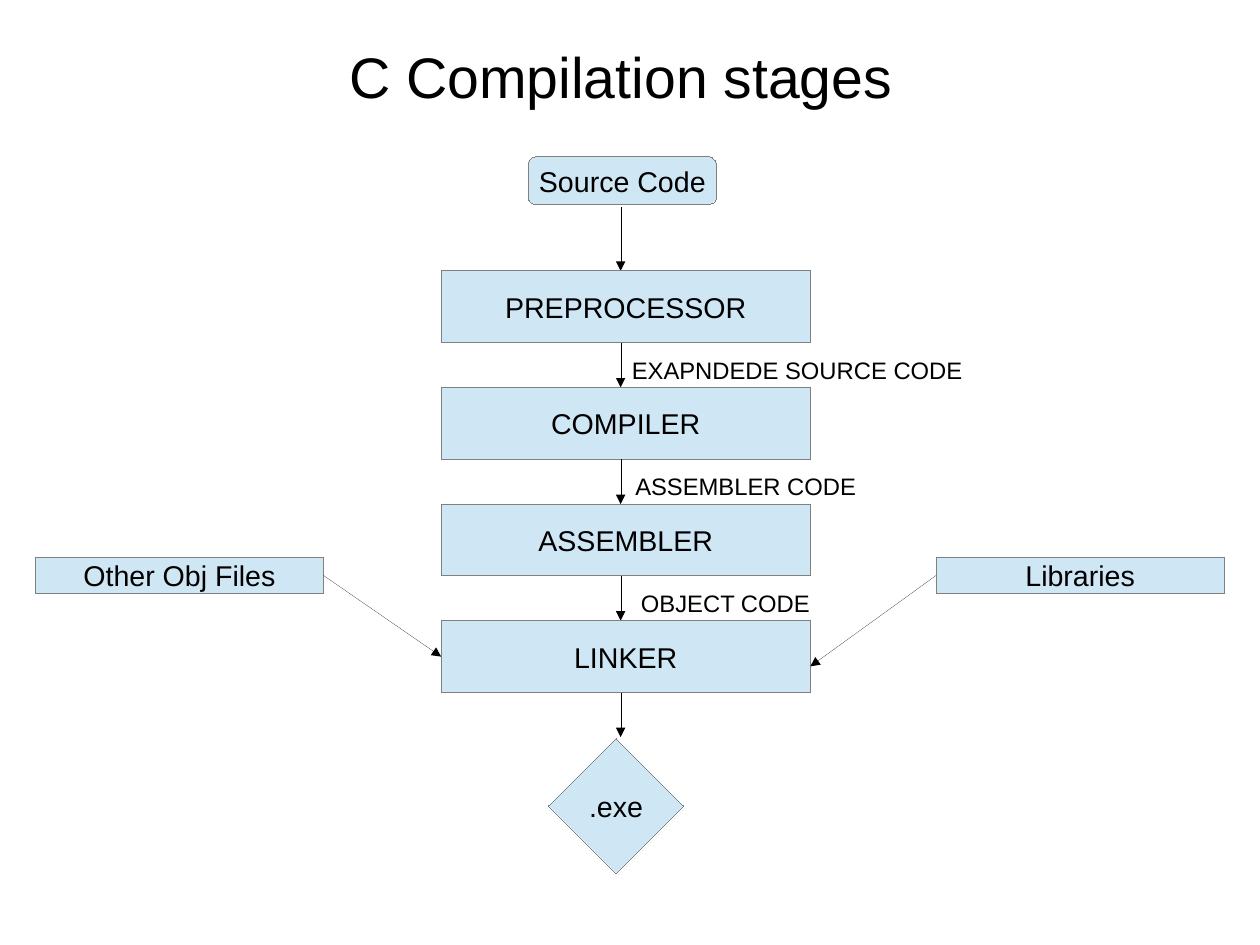
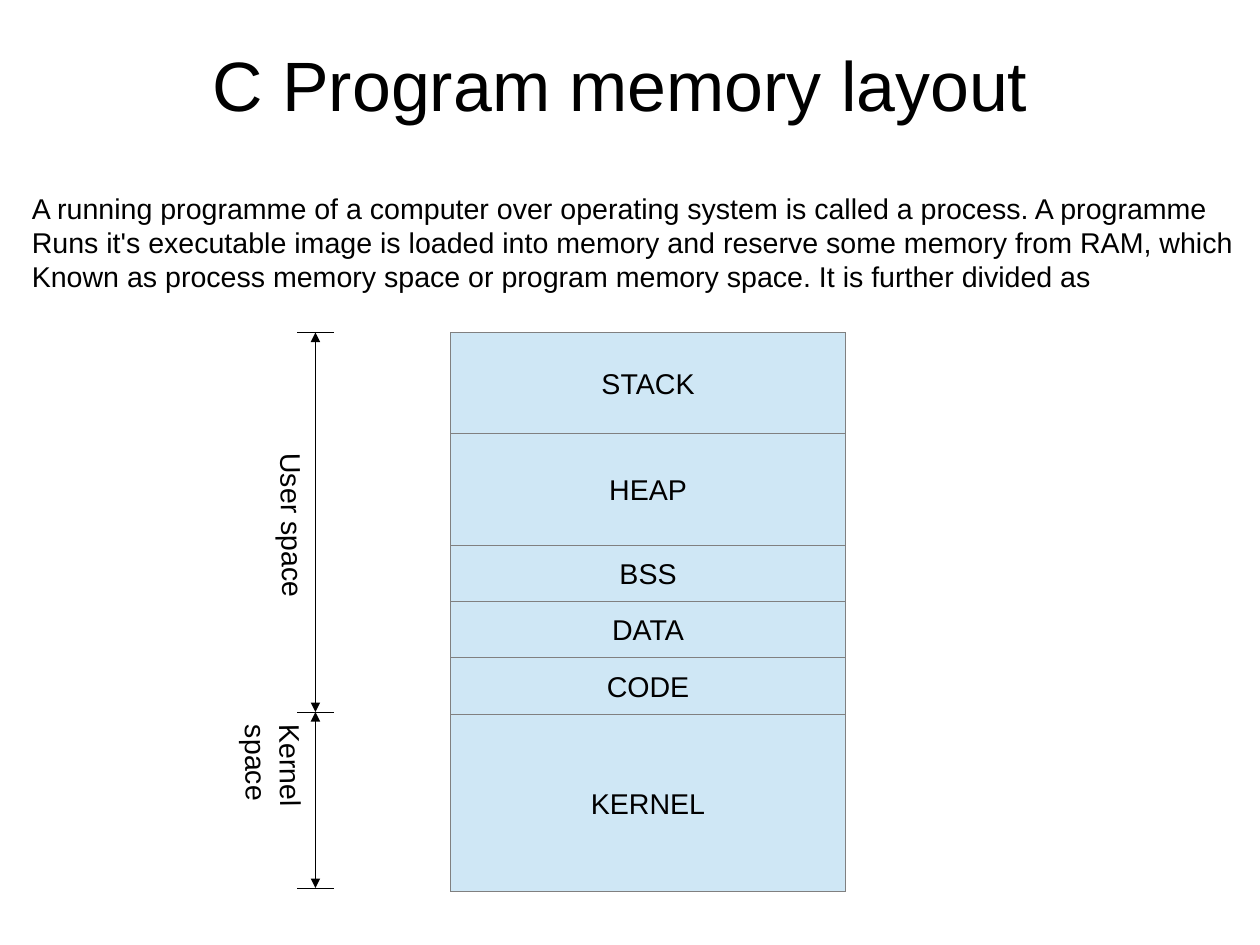
from dataclasses import dataclass

from lxml.etree import SubElement
from pptx import Presentation
from pptx.dml.color import RGBColor as Rgb
from pptx.enum.shapes import MSO_CONNECTOR as Conn, MSO_SHAPE as Kind
from pptx.enum.text import MSO_ANCHOR as Anchor, PP_ALIGN as Align
from pptx.oxml.ns import qn
from pptx.util import Inches, Pt


# Colours, font and type sizes
@dataclass(frozen=True)
class Theme:
    font: str = "Arial"
    ink: Rgb = Rgb(0, 0, 0)
    fill: Rgb = Rgb(0xCF, 0xE7, 0xF5)
    edge: Rgb = Rgb(0x80, 0x80, 0x80)
    body: int = 18
    note: int = 15
    head: int = 36
    big: int = 44


THEME = Theme()


@dataclass(frozen=True)
class Area:
    x: float
    y: float
    w: float
    h: float

    def place(self) -> tuple:
        return tuple(Inches(v) for v in (self.x, self.y, self.w, self.h))


@dataclass(frozen=True)
class Stage:
    name: str
    x: float = 0
    width: float = 0
    output: str = ""


@dataclass(frozen=True)
class Part:
    name: str
    height: float


@dataclass(frozen=True)
class Span:
    name: str
    top: float
    end: float
    area: Area


# Shared drawing functions
def write(shape, text: str, size: int, align=Align.LEFT, wrap: bool = True):
    frame = shape.text_frame
    frame.text = text
    frame.word_wrap = wrap
    for para in frame.paragraphs:
        para.alignment = align
        for run in para.runs:
            run.font.name = THEME.font
            run.font.size = Pt(size)
            run.font.color.rgb = THEME.ink
    return frame


def hairline(shape, color: Rgb):
    shape.line.color.rgb = color
    props = shape.line._get_or_add_ln()
    props.set("w", "0")
    return props


def add_text(slide, area: Area, text: str, size: int = THEME.body,
             turn: float = 0) -> None:
    box = slide.shapes.add_textbox(*area.place())
    box.rotation = turn
    write(box, text, size)


def add_title(slide, area: Area, text: str, size: int) -> None:
    box = slide.shapes.add_textbox(*area.place())
    frame = write(box, text, size, Align.CENTER)
    frame.vertical_anchor = Anchor.MIDDLE
    frame.margin_left = frame.margin_right = 0
    frame.margin_top = frame.margin_bottom = 0


def add_box(shapes, area: Area, text: str, kind=Kind.RECTANGLE):
    box = shapes.add_shape(kind, *area.place())
    box.shadow.inherit = False
    box.fill.solid()
    box.fill.fore_color.rgb = THEME.fill
    hairline(box, THEME.edge)
    frame = write(box, text, THEME.body, Align.CENTER, False)
    frame.vertical_anchor = Anchor.MIDDLE
    return box


def add_line(slide, x1: float, y1: float, x2: float, y2: float,
             heads: tuple = ()):
    ends = [Inches(v) for v in (x1, y1, x2, y2)]
    line = slide.shapes.add_connector(Conn.STRAIGHT, *ends)
    props = hairline(line, THEME.ink)
    for head in heads:
        SubElement(props, qn(f"a:{head}"), type="triangle")
    SubElement(line._element.spPr, qn("a:effectLst"))
    return line


TO = ("tailEnd",)
BOTH = ("headEnd", "tailEnd")


# Slide 1: the chain of compilation stages
def draw_stages(slide) -> None:
    add_title(slide, Area(0.47, 0.31, 9.92, 0.71), "C Compilation stages",
              THEME.head)
    left, top, wide, high, step, axis = 3.86, 2.37, 3.23, 0.63, 1.02, 5.43
    stages = [
        Stage("PREPROCESSOR", 5.43, 3.2, "EXAPNDEDE SOURCE CODE"),
        Stage("COMPILER", 5.46, 2.2, "ASSEMBLER CODE"),
        Stage("ASSEMBLER", 5.51, 1.73, "OBJECT CODE"),
        Stage("LINKER"),
    ]

    # Source at the top
    add_box(slide.shapes, Area(4.62, 1.37, 1.65, 0.42), "Source Code",
            Kind.ROUNDED_RECTANGLE)
    add_line(slide, axis, 1.81, axis, top, TO)

    # Stages, each with its arrow and output
    for i, stage in enumerate(stages):
        y = top + i * step
        link = add_box(slide.shapes, Area(left, y, wide, high), stage.name)
        add_line(slide, axis, y + high, axis, y + step, TO)
        if stage.output:
            add_text(slide, Area(stage.x, y + 0.69, stage.width, 0.33),
                     stage.output, THEME.note)

    # Program at the bottom
    add_box(slide.shapes, Area(4.8, 6.46, 1.18, 1.18), ".exe", Kind.DIAMOND)

    # Further inputs of the linker
    objs = add_box(slide.shapes, Area(0.31, 4.88, 2.52, 0.31),
                   "Other Obj Files")
    libs = add_box(slide.shapes, Area(8.19, 4.88, 2.52, 0.31), "Libraries")
    line = add_line(slide, 2.83, 5.04, left, 5.75, TO)
    line.begin_connect(objs, 3)
    line.end_connect(link, 1)
    line = add_line(slide, 8.19, 5.04, left + wide, 5.83, TO)
    line.begin_connect(libs, 1)


# Slide 2: the memory map and its two spaces
def draw_memory(slide) -> None:
    add_title(slide, Area(0.47, 0.04, 9.92, 1.38), "C Program memory layout",
              THEME.big)
    add_text(slide, Area(0.18, 1.62, 10.8, 0.94), "\n".join([
        "A running programme of a computer over operating system is called "
        "a process. A programme",
        "Runs it's executable image is loaded into memory and reserve some "
        "memory from RAM, which",
        "Known as process memory space or program memory space. It is "
        "further divided as",
    ]))

    # Stacked memory parts
    top = 2.91
    parts = [Part("STACK", 0.88), Part("HEAP", 0.98), Part("BSS", 0.49),
             Part("DATA", 0.49), Part("CODE", 0.5), Part("KERNEL", 1.55)]
    group = slide.shapes.add_group_shape()
    y = top
    for part in parts:
        add_box(group.shapes, Area(3.94, y, 3.46, part.height), part.name)
        y += part.height

    # Measured spaces
    axis, half, split, end = 2.76, 0.16, 6.23, 7.77
    for y in (top, split, end):
        add_line(slide, axis - half, y, axis + half, y)
    spans = [
        Span("User space", top, split, Area(1.5, 4.17, 1.56, 0.96)),
        Span("Kernel space", split, end, Area(1.62, 6.71, 1.6, 0.66)),
    ]
    for span in spans:
        add_line(slide, axis, span.top, axis, span.end, BOTH)
        add_text(slide, span.area, span.name, turn=89.2)


def main() -> None:
    deck = Presentation()
    # A page of 28 by 21 centimetres
    deck.slide_width, deck.slide_height = Inches(28 / 2.54), Inches(21 / 2.54)
    for draw in (draw_stages, draw_memory):
        draw(deck.slides.add_slide(deck.slide_layouts[6]))
    deck.save("out.pptx")


if __name__ == "__main__":
    main()
